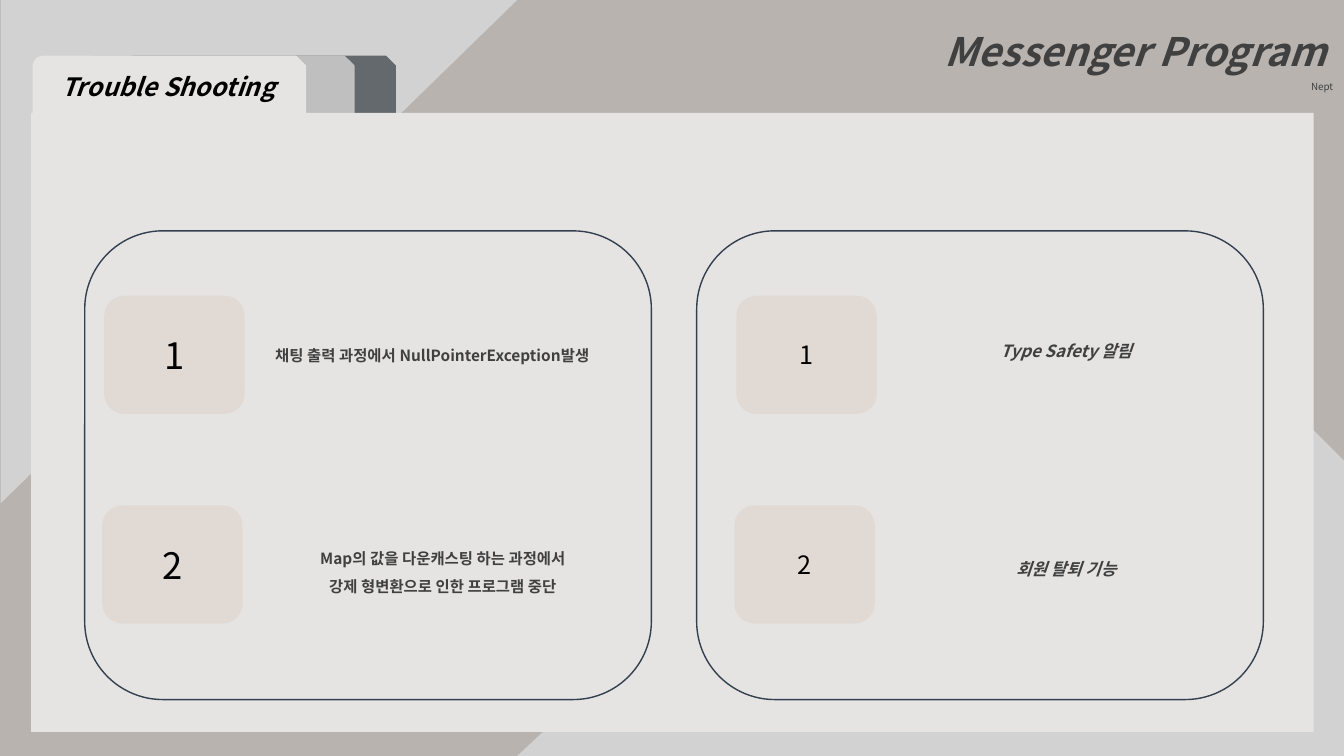
from dataclasses import dataclass

from lxml.etree import SubElement
from pptx import Presentation
from pptx.dml.color import RGBColor
from pptx.enum.shapes import MSO_SHAPE as SHAPE
from pptx.enum.text import MSO_ANCHOR as ANCHOR, MSO_AUTO_SIZE as FIT, PP_ALIGN as ALIGN
from pptx.oxml.ns import qn
from pptx.util import Inches, Pt

FONT = "Noto Sans CJK KR"
COLORS = {
    "backdrop": "B8B3AF", "corner": "D2D2D2", "panel": "E5E4E3",
    "tab_dark": "64696D", "tab_mid": "BFBFBF", "frame": "333F4F",
    "badge": "E1DAD4", "text": "404040", "black": "000000",
}


@dataclass
class Tab:
    left: float
    color: str
    text: str = ""


@dataclass
class Card:
    left: float
    badge_left: float
    number_size: int


@dataclass
class Note:
    left: float
    top: float
    width: float
    height: float
    text: str
    size: int
    italic: bool = False


TABS = [Tab(1.22, "tab_dark"), Tab(0.81, "tab_mid"), Tab(0.33, "panel", "Trouble Shooting")]
CARDS = [Card(0.84, 1.04, 26), Card(6.91, 7.31, 18)]
BADGE_TOP, BADGE_STEP, BADGE_SHIFT = 2.94, 2.08, -0.02
NOTES = [
    Note(2.48, 3.29, 3.65, 0.36, "채팅 출력 과정에서 NullPointerException발생 ", 11),
    Note(8.75, 3.23, 3.65, 0.4, "Type Safety 알림", 12, italic=True),
    Note(2.5, 5.31, 3.82, 0.64,
         "Map의 값을 다운캐스팅 하는 과정에서 \n강제 형변환으로 인한 프로그램 중단 ", 11),
    Note(8.75, 5.39, 3.65, 0.4, "회원 탈퇴 기능", 12, italic=True),
]


def rgb(name: str) -> RGBColor:
    return RGBColor.from_string(COLORS[name])


def write(p, text: str, *, size: float, color: str = "text", bold: bool = False,
          italic: bool = False, align=ALIGN.CENTER, spacing: float = 1.0) -> None:
    p.text = text
    p.alignment = align
    p.line_spacing = spacing
    for r in p.runs:
        f = r.font
        f.name, f.size, f.bold, f.italic = FONT, Pt(size), bold, italic
        f.color.rgb = rgb(color)
        SubElement(f._element, qn("a:ea")).set("typeface", FONT)


def paint(sp, fill: str = "", line: str = "") -> None:
    sp.shadow.inherit = False
    if fill:
        sp.fill.solid()
        sp.fill.fore_color.rgb = rgb(fill)
    else:
        sp.fill.background()
    if line:
        sp.line.color.rgb = rgb(line)
        sp.line.width = Pt(1)
    else:
        sp.line.fill.background()


def add_box(shapes, kind, left: float, top: float, width: float, height: float,
            fill: str = "", line: str = ""):
    sp = shapes.add_shape(kind, Inches(left), Inches(top), Inches(width), Inches(height))
    paint(sp, fill, line)
    sp.text_frame.vertical_anchor = ANCHOR.MIDDLE
    return sp


def add_text(shapes, left: float, top: float, width: float, height: float):
    sp = shapes.add_textbox(Inches(left), Inches(top), Inches(width), Inches(height))
    tf = sp.text_frame
    tf.word_wrap = True
    tf.auto_size = FIT.SHAPE_TO_FIT_TEXT
    return tf


def add_backdrop(s) -> None:
    s.background.fill.solid()
    s.background.fill.fore_color.rgb = rgb("backdrop")
    builder = s.shapes.build_freeform(Inches(10.44), Inches(2.54))
    corner = [(11.3, 2.54), (13.33, 4.57), (13.33, 7.5), (5.13, 7.5)]
    builder.add_line_segments([(Inches(x), Inches(y)) for x, y in corner])
    paint(builder.convert_to_shape(), "corner")
    sp = add_box(s.shapes, SHAPE.RIGHT_TRIANGLE, 0.07, -0.07, 5, 5.13, "corner")
    sp.rotation = 90


def add_tabs(s) -> None:
    group = s.shapes.add_group_shape()
    for tab in TABS:
        sp = add_box(group.shapes, SHAPE.SNIP_ROUND_RECTANGLE,
                     tab.left, 0.56, 2.7, 0.56, tab.color, tab.color)
        if tab.text:
            write(sp.text_frame.paragraphs[0], tab.text, size=18, color="black",
                  bold=True, italic=True)


def add_badges(s, card: Card) -> None:
    group = s.shapes.add_group_shape()
    for i in range(2):
        sp = add_box(group.shapes, SHAPE.ROUNDED_RECTANGLE, card.badge_left + i * BADGE_SHIFT,
                     BADGE_TOP + i * BADGE_STEP, 1.38, 1.16, "badge", "badge")
        write(sp.text_frame.paragraphs[0], str(i + 1), size=card.number_size, color="black")


def main() -> None:
    prs = Presentation()
    prs.slide_width, prs.slide_height = Inches(13.33), Inches(7.5)
    s = prs.slides.add_slide(prs.slide_layouts[6])
    add_backdrop(s)

    # Title
    tf = add_text(s.shapes, 9.2, -0.01, 4.12, 0.97)
    write(tf.paragraphs[0], "Messenger Program", size=28, bold=True, italic=True, spacing=1.5)
    write(tf.add_paragraph(), "Nept", size=7, align=ALIGN.RIGHT, spacing=1.5)

    # Folder with its tabs
    add_tabs(s)
    add_box(s.shapes, SHAPE.RECTANGLE, 0.31, 1.12, 12.72, 6.14, "panel")

    # Cards and numbers
    for card in CARDS:
        add_box(s.shapes, SHAPE.ROUNDED_RECTANGLE, card.left, 2.29, 5.62, 4.65, line="frame")
    for card in CARDS:
        add_badges(s, card)

    # Descriptions
    for note in NOTES:
        tf = add_text(s.shapes, note.left, note.top, note.width, note.height)
        write(tf.paragraphs[0], note.text, size=note.size, bold=True,
              italic=note.italic, spacing=1.5)

    prs.save("out.pptx")


if __name__ == "__main__":
    main()
